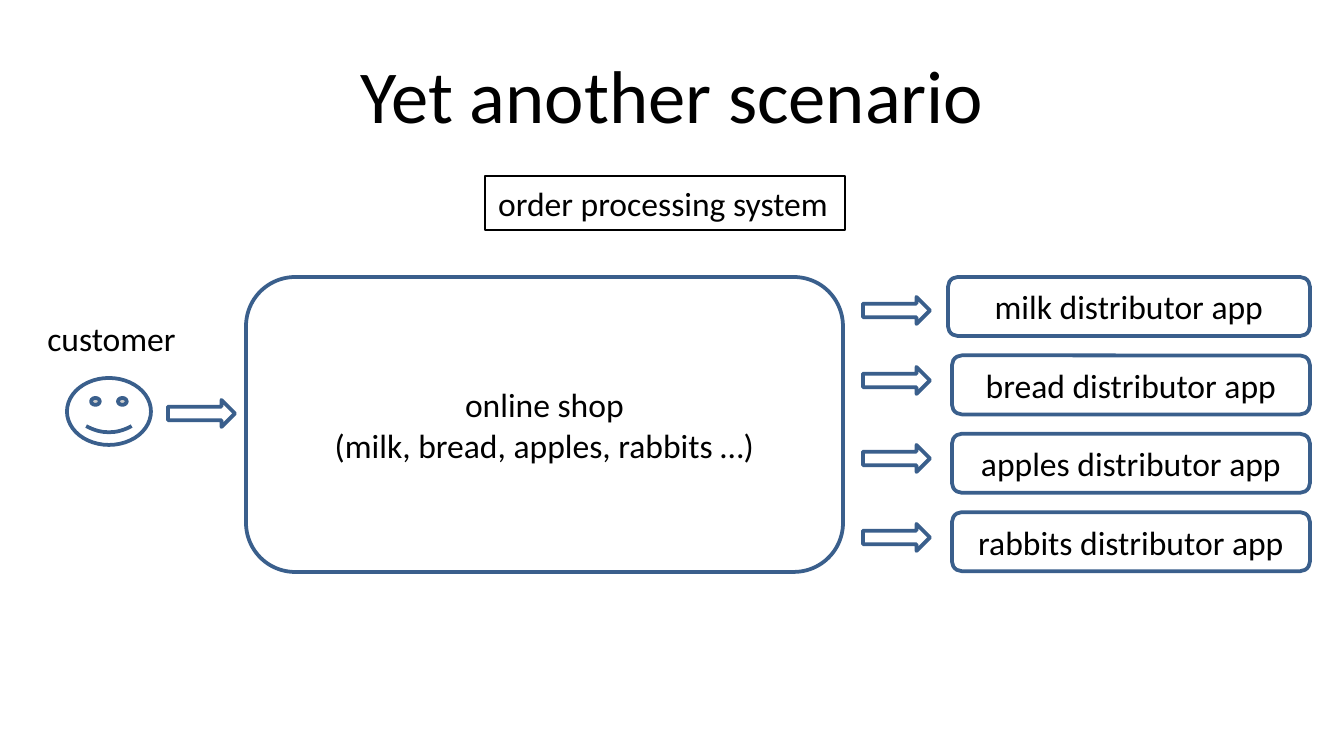
import pptx
import pptx.dml.color
import pptx.enum.shapes
import pptx.enum.text
import pptx.util
from dataclasses import dataclass

SHAPE = pptx.enum.shapes.MSO_SHAPE
ALIGN = pptx.enum.text.PP_ALIGN
ANCHOR = pptx.enum.text.MSO_ANCHOR
EMU_PER_PIXEL = 914400 / 134.4


@dataclass(frozen=True)
class Theme:
    font: str = "Calibri"
    text: str = "000000"
    fill: str = "FFFFFF"
    outline: str = "3A5F8C"
    title_size: float = 40
    body_size: float = 18
    outline_width: float = 2
    frame_width: float = 0.75


def emu(pixels):
    return pptx.util.Emu(round(pixels * EMU_PER_PIXEL))


def rgb(value):
    return pptx.dml.color.RGBColor.from_string(value)


class SlideBuilder:
    def __init__(self, slide, theme):
        self.slide = slide
        self.theme = theme

    def add_text(self, shape, lines, size, align):
        frame = shape.text_frame
        frame.vertical_anchor = ANCHOR.MIDDLE
        paragraph = frame.paragraphs[0]
        paragraph.alignment = align
        for index, line in enumerate(lines):
            if index:
                paragraph.add_line_break()
            run = paragraph.add_run()
            run.text = line
            run.font.name = self.theme.font
            run.font.size = pptx.util.Pt(size)
            run.font.color.rgb = rgb(self.theme.text)

    def outlined(self, kind, left, top, width, height, *lines):
        shape = self.slide.shapes.add_shape(kind, *map(emu, (left, top, width, height)))
        shape.shadow.inherit = False
        shape.fill.solid()
        shape.fill.fore_color.rgb = rgb(self.theme.fill)
        shape.line.color.rgb = rgb(self.theme.outline)
        shape.line.width = pptx.util.Pt(self.theme.outline_width)
        if lines:
            shape.text_frame.word_wrap = True
            self.add_text(shape, lines, self.theme.body_size, ALIGN.CENTER)

    def arrow(self, left, top):
        self.outlined(SHAPE.RIGHT_ARROW, left, top, 67, 27)

    def title(self, left, top, width, height, text):
        box = self.slide.shapes.add_textbox(*map(emu, (left, top, width, height)))
        box.text_frame.word_wrap = True
        self.add_text(box, [text], self.theme.title_size, ALIGN.CENTER)

    def label(self, left, top, width, height, text, framed=False):
        box = self.slide.shapes.add_textbox(*map(emu, (left, top, width, height)))
        box.text_frame.word_wrap = False
        box.text_frame.auto_size = pptx.enum.text.MSO_AUTO_SIZE.SHAPE_TO_FIT_TEXT
        self.add_text(box, [text], self.theme.body_size, ALIGN.LEFT)
        if framed:
            box.line.color.rgb = rgb(self.theme.text)
            box.line.width = pptx.util.Pt(self.theme.frame_width)


presentation = pptx.Presentation()
presentation.slide_width = emu(1344)
presentation.slide_height = emu(756)
slide = presentation.slides.add_slide(presentation.slide_layouts[6])
builder = SlideBuilder(slide, Theme())

# Heading
builder.title(67, 31, 1210, 126, "Yet another scenario")
builder.label(485, 176, 360, 54, "order processing system", framed=True)

# Customer and shop
builder.label(34, 311, 157, 54, "customer")
builder.outlined(SHAPE.SMILEY_FACE, 67, 378, 84, 67)
builder.arrow(168, 400)
builder.outlined(SHAPE.ROUNDED_RECTANGLE, 246, 277, 597, 295,
                 "online shop", "(milk, bread, apples, rabbits …)")

# Distributors: even rows with a common right edge
FIRST_TOP, ROW_STEP, RIGHT_EDGE = 277, 78.4, 1310
distributors = [("milk", 948, 297), ("bread", 952, 367),
                ("apples", 952, 445), ("rabbits", 952, 524)]
for row, (product, left, arrow_top) in enumerate(distributors):
    builder.outlined(SHAPE.ROUNDED_RECTANGLE, left, FIRST_TOP + row * ROW_STEP,
                     RIGHT_EDGE - left, 59, f"{product} distributor app")
    builder.arrow(863, arrow_top)

presentation.save("out.pptx")
